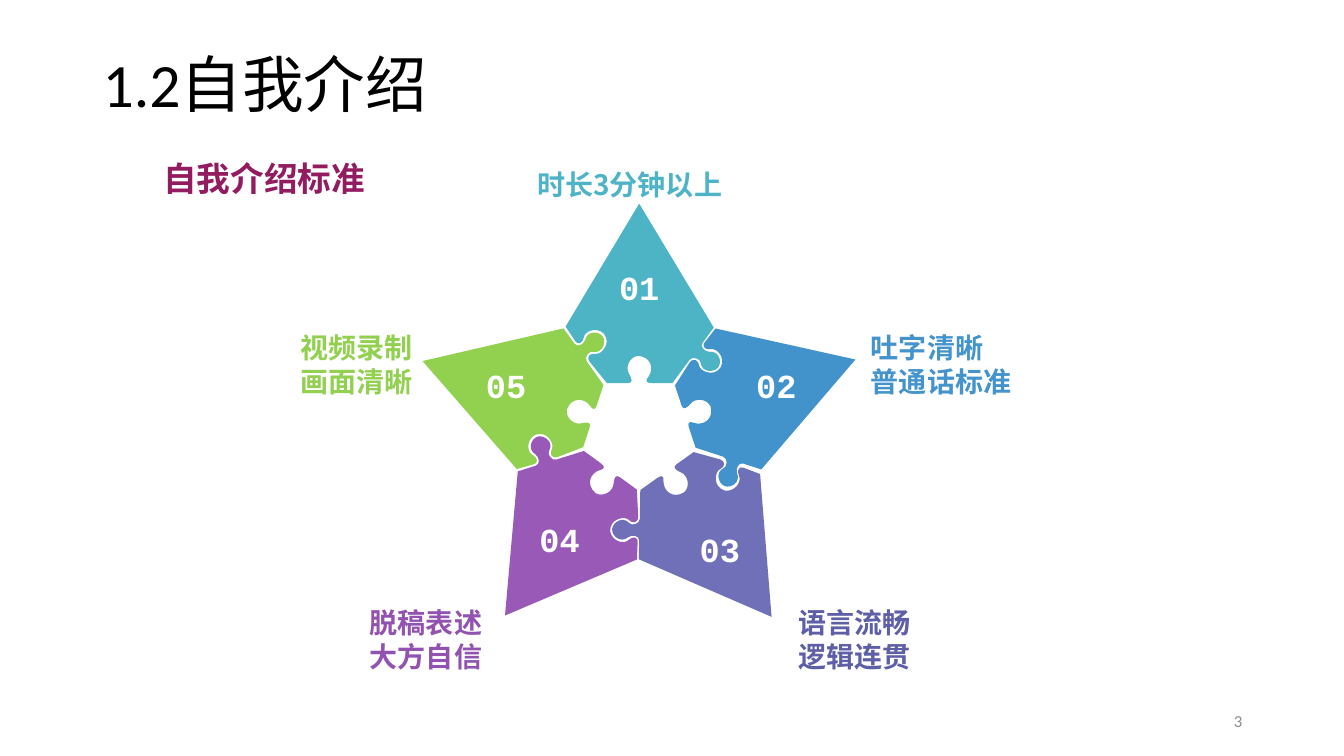
from math import cos, sin, radians
from lxml import etree
from pptx import Presentation
from pptx.dml.color import RGBColor
from pptx.enum.shapes import MSO_SHAPE
from pptx.enum.text import MSO_ANCHOR, MSO_AUTO_SIZE, PP_ALIGN
from pptx.oxml.ns import qn
from pptx.util import Inches, Pt

LEFT, MID, RIGHT = PP_ALIGN.LEFT, PP_ALIGN.CENTER, PP_ALIGN.RIGHT
TOP, CORE = MSO_ANCHOR.TOP, MSO_ANCHOR.MIDDLE
GROW, RECT = MSO_AUTO_SIZE.SHAPE_TO_FIT_TEXT, MSO_SHAPE.RECTANGLE
SANS, CJK, MONO = "Calibri", "Noto Sans CJK SC", "Courier New"

COLORS = {
    "black": "000000", "gray": "8C8C8C", "white": "FFFFFF", "plum": "931C60",
    "teal": "2EA7BD", "blue": "2280C3", "indigo": "5858AC",
    "purple": "873DAB", "green": "92D050",
    "teal text": "4DB4C7", "blue text": "4393CC", "indigo text": "5F5FA7",
    "purple text": "9253B0", "green text": "92D050",
}

# Star points: hue, opacity in percent, turn in degrees, number spot, number fill
POINTS = [
    ("teal", 85, 0, (6.02, 2.6), None),
    ("blue", 85, 71.6, (7.38, 3.57), None),
    ("indigo", 85, 144.5, (6.82, 5.2), None),
    ("purple", 85, 216.1, (5.23, 5.1), None),
    ("green", 100, 288, (4.7, 3.57), "green"),
]

# Labels: hue, lines, box, align
LABELS = [
    ("teal", ["时长3分钟以上"], (5.23, 1.61, 2.15, 0.44), LEFT),
    ("blue", ["吐字清晰", "普通话标准"], (8.54, 3.23, 2.34, 0.77), LEFT),
    ("indigo", ["语言流畅", "逻辑连贯"], (7.82, 5.96, 2.31, 0.77), LEFT),
    ("purple", ["脱稿表述", "大方自信"], (2.93, 5.96, 1.95, 0.77), RIGHT),
    ("green", ["视频录制", "画面清晰"], (2.24, 3.23, 1.95, 0.77), RIGHT),
]

# Top puzzle piece: pairs are corners, sixes are Bezier curves
HUB = (6.34, 4.28)
SPOT, SIZE = (5.61, 2.02), (1.54, 1.79)
PIECE = [
    (5.61, 3.24), (6.34, 2.02), (7.08, 3.25), (6.97, 3.4),
    (6.94, 3.44, 6.99, 3.49, 7.04, 3.49), (7.13, 3.48, 7.17, 3.59, 7.12, 3.65),
    (7.07, 3.7, 6.96, 3.69, 6.95, 3.6), (6.95, 3.56, 6.87, 3.53, 6.84, 3.57),
    (6.67, 3.8), (6.47, 3.8),
    (6.42, 3.8, 6.39, 3.79, 6.43, 3.74), (6.49, 3.66, 6.46, 3.54, 6.33, 3.53),
    (6.24, 3.54, 6.2, 3.65, 6.24, 3.71), (6.27, 3.76, 6.28, 3.8, 6.23, 3.8),
    (6.02, 3.8), (5.85, 3.59),
    (5.81, 3.53, 5.86, 3.5, 5.91, 3.51), (5.96, 3.52, 6.07, 3.41, 5.99, 3.31),
    (5.92, 3.24, 5.8, 3.28, 5.79, 3.35), (5.78, 3.41, 5.73, 3.42, 5.71, 3.39),
]


def color(name):
    return RGBColor.from_string(COLORS[name])


def bend(shape):
    """Swap straight steps for curves and fix the frame of the outline."""
    trail = shape._element.find(".//" + qn("a:path"))
    for axis, length in zip("wh", SIZE):
        trail.set(axis, str(Inches(length)))
    for step, part in zip(list(trail), PIECE):
        if len(part) == 2:
            continue
        curve = etree.Element(qn("a:cubicBezTo"))
        for i in (0, 2, 4):
            etree.SubElement(curve, qn("a:pt"),
                             x=str(Inches(part[i] - SPOT[0])),
                             y=str(Inches(part[i + 1] - SPOT[1])))
        trail.replace(step, curve)


def add_piece(shapes, hue, alpha, angle):
    dots = [tuple(map(Inches, part[-2:])) for part in PIECE]
    pen = shapes.build_freeform(*dots[0])
    pen.add_line_segments(dots[1:], close=True)
    shape = pen.convert_to_shape()
    bend(shape)
    # Swing the middle of the piece around the hub
    x, y = (SPOT[i] + SIZE[i] / 2 - HUB[i] for i in (0, 1))
    c, s = cos(radians(angle)), sin(radians(angle))
    shape.left = Inches(HUB[0] + x * c - y * s - SIZE[0] / 2)
    shape.top = Inches(HUB[1] + x * s + y * c - SIZE[1] / 2)
    shape.width, shape.height = map(Inches, SIZE)
    shape.rotation = angle
    shape.shadow.inherit = False
    shape.line.fill.background()
    shape.fill.solid()
    shape.fill.fore_color.rgb = color(hue)
    if alpha < 100:
        tint = shape.fill._xPr.find(".//" + qn("a:srgbClr"))
        etree.SubElement(tint, qn("a:alpha"), val=str(alpha * 1000))


def add_text(shapes, lines, box, size, font, hue, align=LEFT, bold=False,
             anchor=TOP, space=None, fill=None):
    box = map(Inches, box)
    if fill:
        shape = shapes.add_shape(RECT, *box)
        shape.shadow.inherit = False
        shape.line.fill.background()
        shape.fill.solid()
        shape.fill.fore_color.rgb = color(fill)
    else:
        shape = shapes.add_textbox(*box)
    frame = shape.text_frame
    frame.word_wrap = True
    frame.vertical_anchor = anchor
    if anchor == TOP:
        frame.auto_size = GROW
    frame.text = "\n".join(lines)
    for para in frame.paragraphs:
        para.alignment = align
        para.line_spacing = space
        para.font.size, para.font.bold = Pt(size), bold
        para.font.color.rgb = color(hue)
        para.font.name = font
        etree.SubElement(para.font._rPr, qn("a:ea"), typeface=CJK)


deck = Presentation()
deck.slide_width, deck.slide_height = Inches(13.33), Inches(7.5)
slide = deck.slides.add_slide(deck.slide_layouts[6])
page = slide.shapes

# Title and slide number
add_text(page, ["1.2自我介绍"], (0.92, 0.14, 11.5, 1.45), 44, SANS, "black",
         anchor=CORE, space=0.9)
add_text(page, ["3"], (9.42, 6.95, 3, 0.4), 12, SANS, "gray", RIGHT,
         anchor=CORE)

# Star: one piece turned around the hub, grouped with its number
for i, (hue, alpha, angle, spot, fill) in enumerate(POINTS, 1):
    group = page.add_group_shape().shapes
    add_piece(group, hue, alpha, angle)
    add_text(group, [f"{i:02d}"], (*spot, 0.64, 0.5), 24, MONO, "white", MID,
             True, fill=fill)

# Labels and heading
for hue, lines, box, align in LABELS:
    add_text(page, lines, box, 20, CJK, hue + " text", align, True)
add_text(page, ["自我介绍标准"], (1.52, 1.52, 2.99, 0.5), 24, CJK, "plum",
         bold=True)

deck.save("out.pptx")
